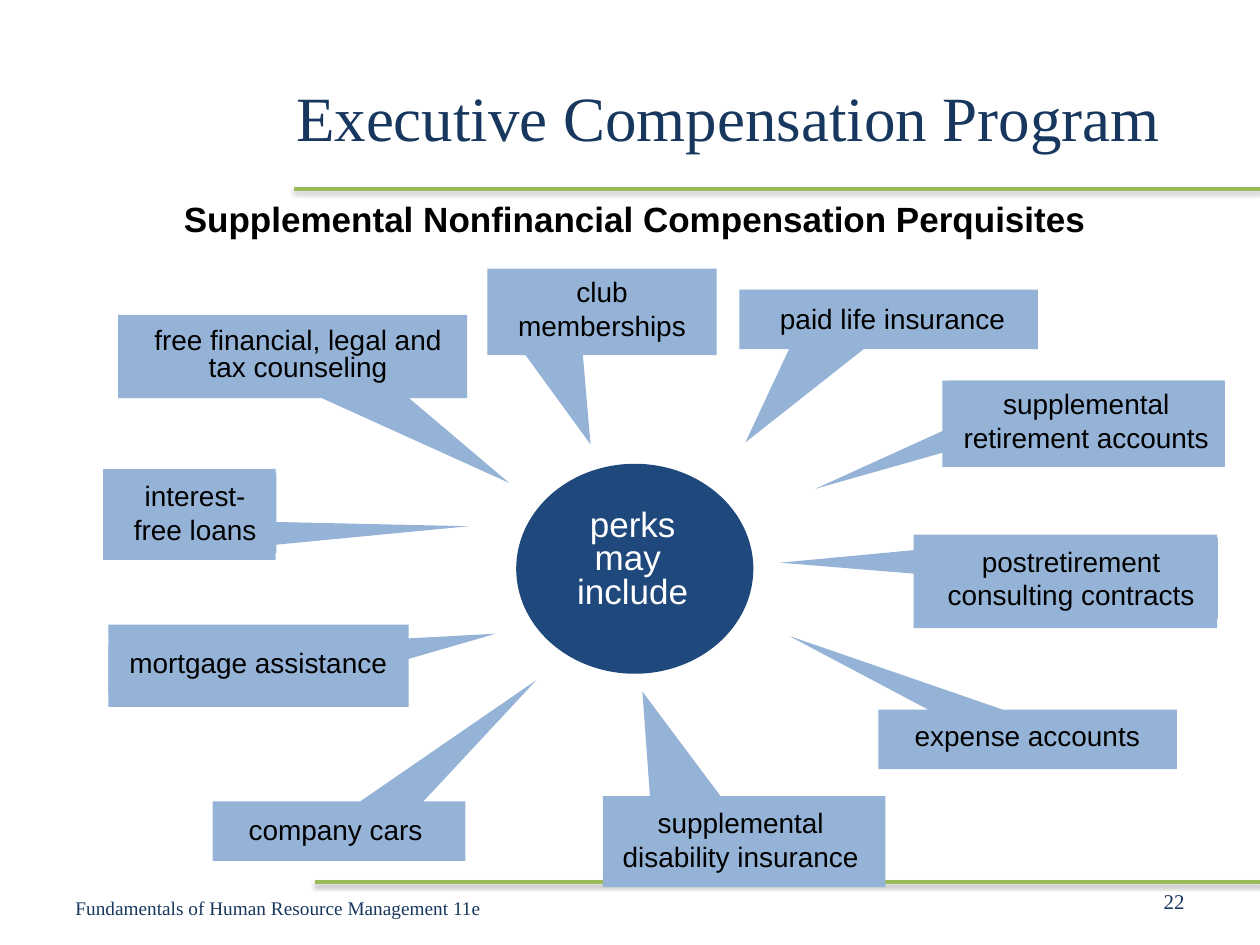
from lxml import etree
from pptx import Presentation
from pptx import util as u
from pptx.dml import color
from pptx.enum import shapes, text
from pptx.oxml import ns

NAVY, BLUE, DARK, GREEN = "17375E", "95B3D7", "1F497D", "9BBB59"
SERIF = {"name": "Times New Roman", "size": u.Pt(12)}
SANS = {"name": "Arial", "size": u.Pt(16)}
BIG = {"name": "Arial", "size": u.Pt(20)}
LEFT, MID, RIGHT = text.PP_ALIGN.LEFT, text.PP_ALIGN.CENTER, text.PP_ALIGN.RIGHT
TOP, CORE = text.MSO_ANCHOR.TOP, text.MSO_ANCHOR.MIDDLE
KIND = shapes.MSO_SHAPE

# callout box, pointer offset, label box, wording, line spacing
PERKS = [
    ((62, 357, 171.5, 47), (0.79, -0.39), (62, 369, 171, 27), "mortgage assistance", 0.8),
    ((422.5, 165.5, 170.5, 34), (-0.48, 2.07), (438.5, 168.5, 143, 26.5), "paid life insurance", 1.0),
    ((278.5, 153.5, 131, 49.5), (-0.05, 1.53), None, "club memberships", 1.0),
    ((502, 405.5, 170.5, 34), (-0.8, -1.74), (515.5, 410.5, 143, 22.5), "expense accounts", 0.8),
    ((67.5, 180, 199.5, 47.5), (0.62, 1.52), (78, 184.5, 184.5, 38),
     "free financial, legal and tax counseling", 0.8),
    ((121.5, 458, 144.5, 34), (0.78, -2.54), (134.5, 461, 114.5, 26.5), "company cars", 1.0),
    ((344.5, 455, 161.5, 52), (-0.36, -1.65), (347, 457, 152.5, 46),
     "supplemental disability insurance", 1.0),
    ((59, 268, 98.5, 52), (1.62, 0.13), (65, 270, 93, 46), "interest-free loans", 1.0),
    ((538.5, 217.5, 161.5, 49.5), (-0.95, 0.75), (542, 217.5, 157.5, 46),
     "supplemental retirement accounts", 1.0),
    ((522, 305.5, 173.5, 53.5), (-0.94, -0.2), (528, 307.5, 168, 46),
     "postretirement consulting contracts", 1.0),
]


def rgb(code):
    """Return the colour for a hex string."""
    return color.RGBColor.from_string(code)


def pts(box):
    """Turn a sequence of numbers into point lengths."""
    return [u.Pt(n) for n in box]


def write(shape, words, font, code, align=LEFT, anchor=CORE, gap=1.0, wrap=True):
    """Fill a shape with formatted paragraphs, one per line of words."""
    frame = shape.text_frame
    frame.text = words
    frame.word_wrap = wrap
    frame.vertical_anchor = anchor
    for para in frame.paragraphs:
        para.alignment, para.line_spacing = align, gap
        for key, val in font.items():
            setattr(para.font, key, val)
        para.font.color.rgb = rgb(code)


def note(slide, box, *args, **opts):
    """Add a text box."""
    write(slide.shapes.add_textbox(*pts(box)), *args, **opts)


def block(tree, kind, box, code):
    """Add a plain filled shape without outline."""
    shape = tree.add_shape(kind, *pts(box))
    shape.shadow.inherit = False
    shape.fill.solid()
    shape.fill.fore_color.rgb = rgb(code)
    shape.line.fill.background()
    return shape


def rule(slide, left, top):
    """Draw a green rule with a soft shadow to the right slide edge."""
    line = slide.shapes.add_connector(shapes.MSO_CONNECTOR.STRAIGHT, *pts((left, top, 720, top)))
    line.line.color.rgb = rgb(GREEN)
    line.line.width = u.Pt(2)
    fx = etree.SubElement(line._element.spPr, ns.qn("a:effectLst"))
    cast = etree.SubElement(fx, ns.qn("a:outerShdw"), blurRad=str(u.Pt(3.1)),
                            dist=str(u.Pt(1.6)), dir="5400000", rotWithShape="0")
    tint = etree.SubElement(cast, ns.qn("a:srgbClr"), val="000000")
    etree.SubElement(tint, ns.qn("a:alpha"), val="38000")


def perk(slide, box, tip, inner, words, gap):
    """Add a callout, grouped with its label when that has its own box."""
    tree = slide.shapes.add_group_shape().shapes if inner else slide.shapes
    shape = block(tree, KIND.RECTANGULAR_CALLOUT, box, BLUE)
    shape.adjustments[0], shape.adjustments[1] = tip
    if inner:
        shape = block(tree, KIND.RECTANGLE, inner, BLUE)
    write(shape, words, SANS, "000000", MID, TOP, gap)


def hub(slide):
    """Add the central ellipse and its label."""
    tree = slide.shapes.add_group_shape().shapes
    block(tree, KIND.OVAL, (295, 265, 135.5, 120), DARK)
    label = block(tree, KIND.RECTANGLE, (312, 288, 99, 66), DARK)
    write(label, "perks may \ninclude", BIG, "FFFFFF", MID, TOP, 0.8)


def head(slide, words):
    """Place and format the title."""
    title = slide.shapes.title
    title.left, title.top, title.width, title.height = pts((162, 21.5, 522, 90))
    write(title, words, {**SERIF, "size": u.Pt(36)}, NAVY)


def main():
    """Build the slide and save it."""
    deck = Presentation()
    deck.slide_width, deck.slide_height = pts((720, 540))
    slide = deck.slides.add_slide(deck.slide_layouts[5])
    rule(slide, 168, 108)
    rule(slide, 180, 504)
    head(slide, "Executive Compensation Program")
    note(slide, (516, 500.5, 168, 29), "22", SERIF, NAVY, RIGHT)
    note(slide, (36, 504, 270, 29), "Fundamentals of Human Resource Management 11e",
         {**SERIF, "size": u.Pt(11)}, NAVY)
    note(slide, (98, 114, 534, 27), "Supplemental Nonfinancial Compensation Perquisites",
         {**BIG, "bold": True}, "000000", anchor=TOP, gap=0.8, wrap=False)
    hub(slide)
    for item in PERKS:
        perk(slide, *item)
    deck.save("out.pptx")


if __name__ == "__main__":
    main()
